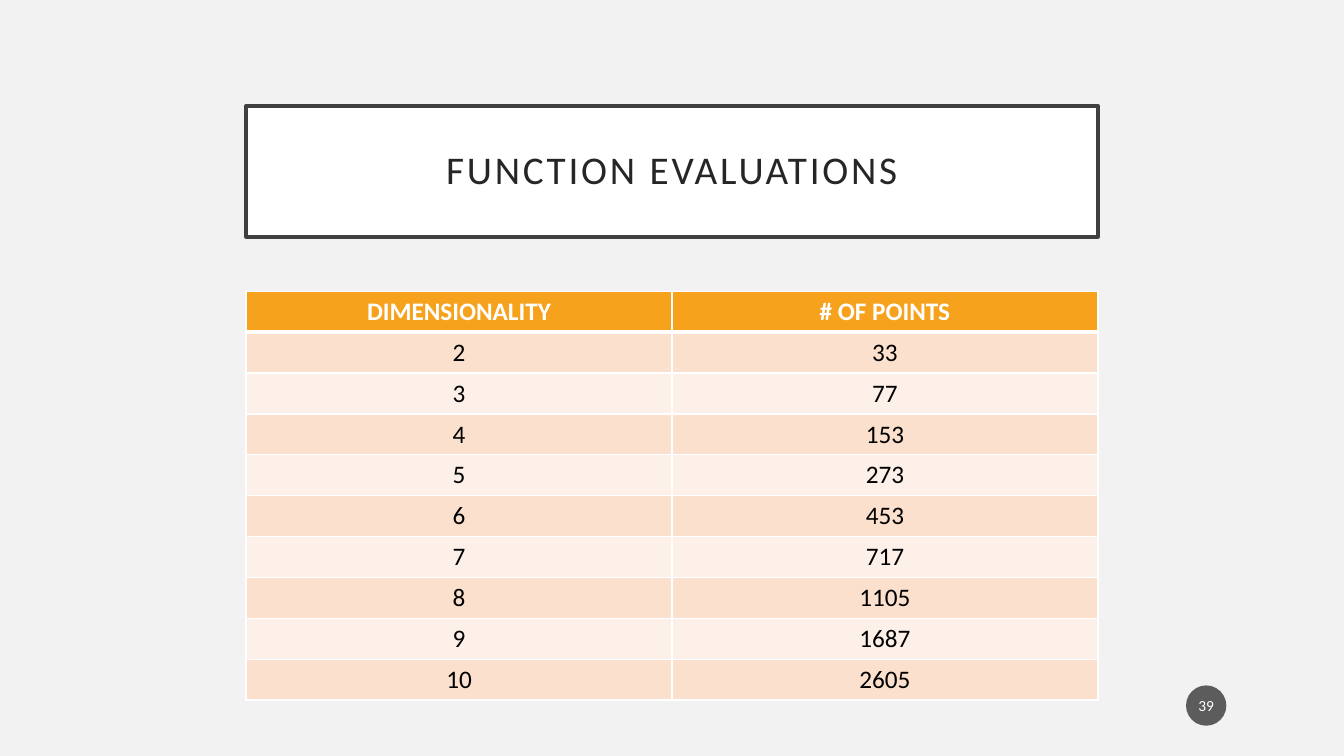
from lxml import etree
from pptx import Presentation
from pptx import util as u
from pptx.dml import color
from pptx.enum import shapes, text
from pptx.oxml import ns

TITLE = "FUNCTION EVALUATIONS"
PAGE_NUMBER = "39"
ROWS = [
    ("DIMENSIONALITY", "# OF POINTS"),
    ("2", "33"),
    ("3", "77"),
    ("4", "153"),
    ("5", "273"),
    ("6", "453"),
    ("7", "717"),
    ("8", "1105"),
    ("9", "1687"),
    ("10", "2605"),
]
COLORS = {
    "background": "F2F2F2",
    "white": "FFFFFF",
    "black": "000000",
    "frame": "404040",
    "title": "262626",
    "header": "F6A21D",
    "odd": "FBE0CD",
    "even": "FDF0E8",
    "badge": "1D1D1D",
}
FONT = "Calibri"
LEFT, WIDTH = 175.75, 608.5
TITLE_TOP, TITLE_HEIGHT = 75.6, 93.6
TABLE_TOP, ROW_HEIGHT = 208.1, 29.2
BADGE_LEFT, BADGE_TOP, BADGE_SIZE = 847.2, 489.6, 28.8


def rgb(name):
    return color.RGBColor.from_string(COLORS[name])


def paint(fill, name):
    fill.solid()
    fill.fore_color.rgb = rgb(name)


def write(frame, content, size, color_name, bold=False):
    paragraph = frame.paragraphs[0]
    paragraph.alignment = text.PP_ALIGN.CENTER
    run = paragraph.add_run()
    run.text = content
    run.font.name = FONT
    run.font.size = u.Pt(size)
    run.font.bold = bold
    run.font.color.rgb = rgb(color_name)
    return paragraph, run


def add_box(slide, kind, left, top, width, height, fill_name, inset_x, inset_y):
    shape = slide.shapes.add_shape(kind, u.Pt(left), u.Pt(top), u.Pt(width), u.Pt(height))
    shape.shadow.inherit = False
    paint(shape.fill, fill_name)
    frame = shape.text_frame
    frame.word_wrap = True
    frame.vertical_anchor = text.MSO_ANCHOR.MIDDLE
    frame.margin_left = frame.margin_right = u.Pt(inset_x)
    frame.margin_top = frame.margin_bottom = u.Pt(inset_y)
    return shape


def add_border(cell, side, width):
    properties = cell._tc.get_or_add_tcPr()
    line = etree.SubElement(properties, ns.qn(f"a:ln{side}"), w=str(u.Pt(width)))
    fill = etree.SubElement(line, ns.qn("a:solidFill"))
    etree.SubElement(fill, ns.qn("a:srgbClr"), val=COLORS["white"])


def add_title(slide):
    shape = add_box(slide, shapes.MSO_SHAPE.RECTANGLE, LEFT, TITLE_TOP, WIDTH,
                    TITLE_HEIGHT, "white", 14.4, 14.4)
    shape.line.color.rgb = rgb("frame")
    shape.line.width = u.Pt(2.5)
    paragraph, run = write(shape.text_frame, TITLE, 28, "title")
    paragraph.line_spacing = 0.9
    run.font._element.set("spc", "200")


def add_points_table(slide):
    columns = len(ROWS[0])
    table = slide.shapes.add_table(
        len(ROWS), columns, u.Pt(LEFT), u.Pt(TABLE_TOP),
        u.Pt(WIDTH), u.Pt(ROW_HEIGHT * len(ROWS))).table
    for column in table.columns:
        column.width = u.Pt(WIDTH / columns)
    for row_index, values in enumerate(ROWS):
        table.rows[row_index].height = u.Pt(ROW_HEIGHT)
        header = row_index == 0
        fill_name = "header" if header else ("even", "odd")[row_index % 2]
        borders = {"L": 1, "R": 1, "T": 3 if row_index == 1 else 1, "B": 3 if header else 1}
        for column_index, value in enumerate(values):
            cell = table.cell(row_index, column_index)
            for side, width in borders.items():
                add_border(cell, side, width)
            paint(cell.fill, fill_name)
            write(cell.text_frame, value, 18, "white" if header else "black", header)


def add_page_badge(slide):
    shape = add_box(slide, shapes.MSO_SHAPE.OVAL, BADGE_LEFT, BADGE_TOP, BADGE_SIZE,
                    BADGE_SIZE, "badge", 1.44, 3.6)
    shape.line.fill.background()
    fill_color = shape._element.spPr.find(ns.qn("a:solidFill"))[0]
    etree.SubElement(fill_color, ns.qn("a:alpha"), val="70000")
    write(shape.text_frame, PAGE_NUMBER, 11, "white")


def main():
    presentation = Presentation()
    presentation.slide_width = u.Pt(960)
    presentation.slide_height = u.Pt(540)
    slide = presentation.slides.add_slide(presentation.slide_layouts[6])
    paint(slide.background.fill, "background")
    add_title(slide)
    add_points_table(slide)
    add_page_badge(slide)
    presentation.save("out.pptx")


if __name__ == "__main__":
    main()
